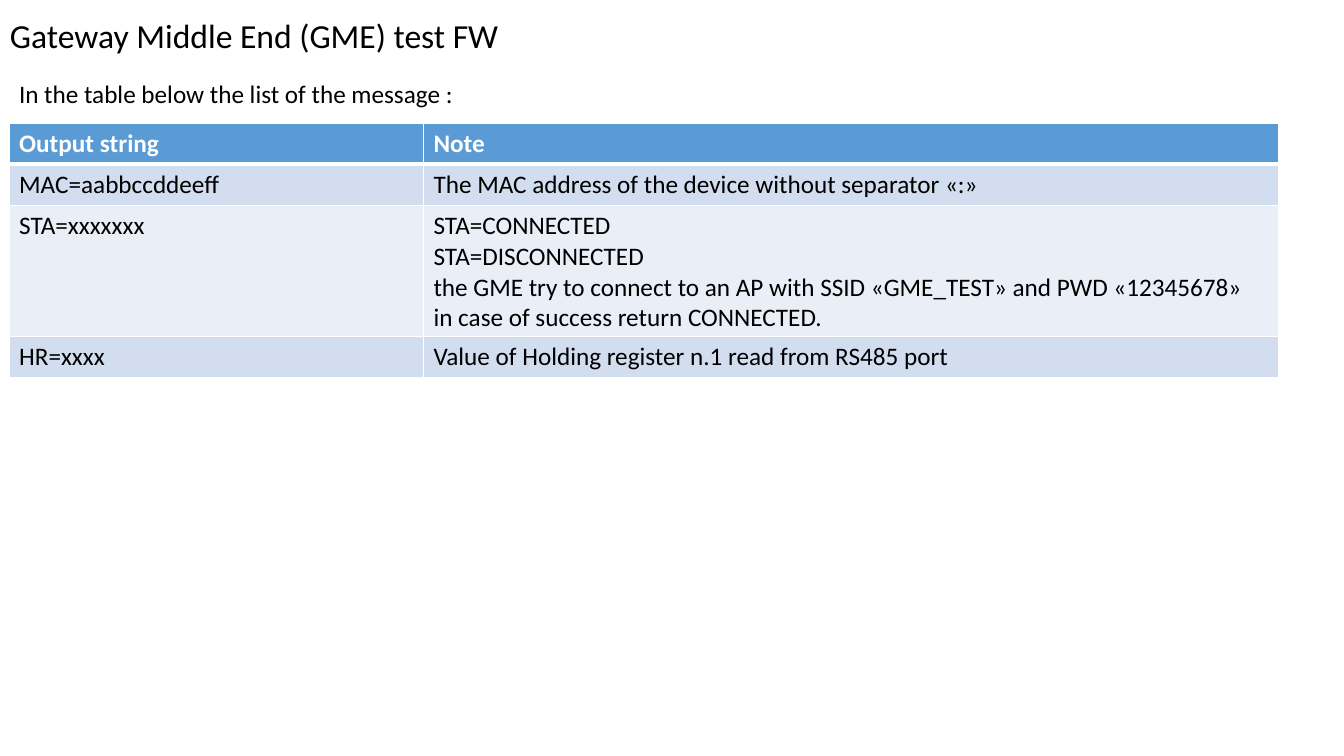
from lxml import etree
from pptx import Presentation
from pptx import util as u
from pptx.dml.color import RGBColor
from pptx.enum import text
from pptx.oxml.ns import qn

BLACK = RGBColor(0x00, 0x00, 0x00)
WHITE = RGBColor(0xFF, 0xFF, 0xFF)
HEADER_BLUE = RGBColor(0x5B, 0x9B, 0xD5)
BAND_DARK = RGBColor(0xD2, 0xDE, 0xEF)
BAND_LIGHT = RGBColor(0xEA, 0xEF, 0xF7)

deck = Presentation()
deck.slide_width = u.Inches(13.33)
deck.slide_height = u.Inches(7.5)
page = deck.slides.add_slide(deck.slide_layouts[6])


def write_lines(para, lines, size, color, bold=False):
    para.font.name = "Calibri"
    para.font.size = u.Pt(size)
    para.font.bold = bold
    para.font.color.rgb = color
    for index, line in enumerate(lines):
        if index:
            para.add_line_break()
        span = para.add_run()
        span.text = line


def set_border(cell, side, width):
    border = etree.SubElement(cell._tc.get_or_add_tcPr(), qn("a:" + side), w=str(u.Pt(width)))
    fill = etree.SubElement(border, qn("a:solidFill"))
    etree.SubElement(fill, qn("a:srgbClr"), val=str(WHITE))


headings = [
    ("Gateway Middle End (GME) test FW", 24, 0, 0.1, 12.91, 0.5),
    ("In the table below the list of the message :", 18, 0.09, 0.73, 13.05, 0.4),
]
for words, size, *place in headings:
    box = page.shapes.add_textbox(*map(u.Inches, place))
    box.text_frame.word_wrap = True
    box.text_frame.auto_size = text.MSO_AUTO_SIZE.SHAPE_TO_FIT_TEXT
    write_lines(box.text_frame.paragraphs[0], [words], size, BLACK)

messages = [
    (["Output string"], ["Note"]),
    (["MAC=aabbccddeeff"], ["The MAC address of the device without separator «:»"]),
    (["STA=xxxxxxx"], [
        "STA=CONNECTED",
        "STA=DISCONNECTED",
        "the GME try to connect to an AP with SSID «GME_TEST» and PWD «12345678»",
        "in case of success return CONNECTED.",
    ]),
    (["HR=xxxx"], ["Value of Holding register n.1 read from RS485 port"]),
]
column_widths = [4.11, 8.48]
row_heights = [0.41, 0.41, 1.3, 0.41]

table = page.shapes.add_table(
    len(messages), len(column_widths), u.Inches(0.09), u.Inches(1.22),
    u.Inches(sum(column_widths)), u.Inches(sum(row_heights)),
).table
for column, width in zip(table.columns, column_widths):
    column.width = u.Inches(width)

for row_number, (row, height, message) in enumerate(zip(table.rows, row_heights, messages)):
    row.height = u.Inches(height)
    is_header = row_number == 0
    band = BAND_DARK if row_number % 2 else BAND_LIGHT
    for cell, lines in zip(row.cells, message):
        write_lines(cell.text_frame.paragraphs[0], lines, 18, WHITE if is_header else BLACK, is_header)
        for side in ("lnL", "lnR", "lnT", "lnB"):
            heavy = (row_number, side) in ((0, "lnB"), (1, "lnT"))
            set_border(cell, side, 3 if heavy else 1)
        cell.fill.solid()
        cell.fill.fore_color.rgb = HEADER_BLUE if is_header else band

deck.save("out.pptx")
